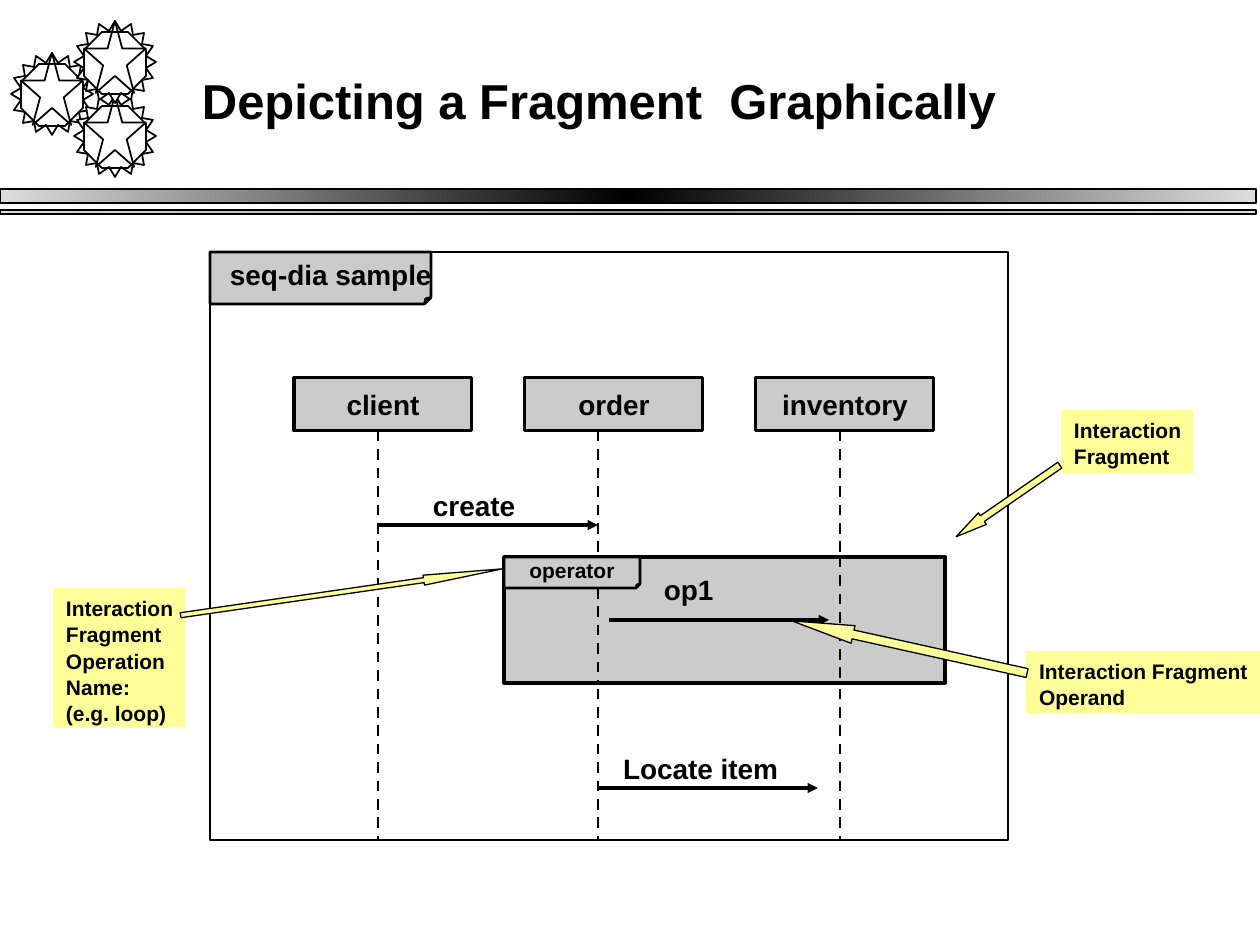
"""Build a slide that explains an interaction fragment in a sequence diagram."""
import copy
import math

from lxml import etree
from pptx import Presentation
from pptx import util as u
from pptx.dml.color import RGBColor
from pptx.enum import dml, shapes, text
from pptx.oxml import ns

EMU_PER_PX = 914400 / 126
BLACK = RGBColor(0, 0, 0)
WHITE = RGBColor(255, 255, 255)
GREY = RGBColor(0xCB, 0xCB, 0xCB)
SILVER = RGBColor(0xDD, 0xDD, 0xDD)
MID_GREY = RGBColor(0x96, 0x96, 0x96)
YELLOW = RGBColor(0xFF, 0xFF, 0x99)
KIND = shapes.MSO_SHAPE
LEFT, CENTER = text.PP_ALIGN.LEFT, text.PP_ALIGN.CENTER
TOP, MIDDLE = text.MSO_ANCHOR.TOP, text.MSO_ANCHOR.MIDDLE


def px(*lengths):
    return [u.Emu(round(length * EMU_PER_PX)) for length in lengths]


def apply(target, values):
    for name, value in values.items():
        setattr(target, name, value)


def child(parent, tag, **attributes):
    return etree.SubElement(parent, ns.qn(tag), attributes)


def paint(shape, fill, line):
    shape.shadow.inherit = False
    if fill is None:
        shape.fill.background()
    else:
        shape.fill.solid()
        shape.fill.fore_color.rgb = fill
    if line:
        shape.line.color.rgb = BLACK
        shape.line.width = u.Pt(line)
    else:
        shape.line.fill.background()


def adjust(shape, **guides):
    values = shape._element.spPr.find(".//" + ns.qn("a:avLst"))
    for guide in list(values):
        values.remove(guide)
    for name, value in guides.items():
        child(values, "a:gd", name=name, fmla=f"val {round(value * 100000)}")


def add_box(page, at, fill, line, kind=KIND.RECTANGLE, **guides):
    box = page.shapes.add_shape(kind, *px(*at))
    paint(box, fill, line)
    if guides:
        adjust(box, **guides)
    return box


def write(box, words, size=16, align=LEFT, anchor=TOP, spacing=1.0):
    left, top = px(13, 6)
    apply(box.text_frame, {
        "word_wrap": True, "vertical_anchor": anchor,
        "margin_left": left, "margin_right": 0 if align == LEFT else left,
        "margin_top": top, "margin_bottom": top,
    })
    for index, line in enumerate(words.split("\n")):
        frame = box.text_frame
        para = frame.add_paragraph() if index else frame.paragraphs[0]
        apply(para, {"alignment": align, "line_spacing": spacing})
        span = para.add_run()
        span.text = line
        apply(span.font, {"name": "Arial", "size": u.Pt(size), "bold": True})
        span.font.color.rgb = BLACK
    return span


def add_label(page, at, words, **options):
    return write(page.shapes.add_textbox(*px(*at)), words, **options)


def add_title(page, at, words):
    span = add_label(page, at, words, size=28, anchor=MIDDLE)
    effects = etree.Element(ns.qn("a:effectLst"))
    shadow = child(effects, "a:outerShdw", dist="17961", dir="2700000")
    child(shadow, "a:srgbClr", val="C0C0C0")
    span.font.fill._xPr.find(ns.qn("a:solidFill")).addnext(effects)


def add_line(page, start, end, width=1.75, dashed=False):
    line = page.shapes.add_connector(
        shapes.MSO_CONNECTOR.STRAIGHT, *px(*start, *end))
    line.line.color.rgb = BLACK
    line.line.width = u.Pt(width)
    if dashed:
        line.line.dash_style = dml.MSO_LINE.DASH
    else:
        child(line.line._get_or_add_ln(), "a:tailEnd", type="triangle")
    child(line._element.spPr, "a:effectLst")


def add_lifeline(page, x, top, bottom):
    add_line(page, (x, top), (x, bottom), 1.5, dashed=True)


def add_message(page, x, y, length, label_at, words):
    add_line(page, (x, y), (x + length, y))
    add_label(page, label_at, words)


def add_tab(page, at):
    return add_box(page, at, GREY, 1.5, KIND.FOLDED_CORNER, adj=0.125)


def add_note(page, at, words, arrow_at, angle, head):
    write(add_box(page, at, YELLOW, 0), words, size=12, spacing=1.05)
    arrow = add_box(page, arrow_at, YELLOW, 0.75, KIND.LEFT_ARROW,
                    adj1=0.5, adj2=head)
    arrow.rotation = angle


def add_bar(page, at, middle):
    bar = add_box(page, at, SILVER, 1)
    bar.fill.gradient()
    bar.fill.gradient_angle = 0
    stops = bar._element.spPr.find(".//" + ns.qn("a:gsLst"))
    stops.append(copy.deepcopy(stops[-1]))
    colors = (SILVER, middle, SILVER)
    for stop, color, position in zip(bar.fill.gradient_stops, colors, (0, 0.5, 1)):
        stop.color.rgb = color
        stop.position = position


def add_gear(page, x, y):
    outer, inner, teeth = 41, 32, 16
    points = []
    for index in range(2 * teeth):
        radius = inner if index % 2 else outer
        angle = math.pi * index / teeth
        points.append((x + radius * math.cos(angle), y + radius * math.sin(angle)))
    builder = page.shapes.build_freeform(*points[0], scale=EMU_PER_PX)
    builder.add_line_segments(points[1:], close=True)
    paint(builder.convert_to_shape(), WHITE, 1)
    add_box(page, (x - 31, y - outer, 62, 72), WHITE, 1, KIND.STAR_5_POINT)
    add_box(page, (x - 31, y - 30, 62, 62), None, 1, KIND.OCTAGON, adj=0.29)


def add_header(page):
    add_bar(page, (0, 189, 1256, 14), BLACK)
    add_bar(page, (0, 210, 1256, 4), MID_GREY)
    for center in ((52, 94), (115, 136), (115, 62)):
        add_gear(page, *center)
    add_title(page, (189, 21, 1071, 158), "Depicting a Fragment  Graphically")


def add_diagram(page):
    add_box(page, (210, 252, 798, 588), WHITE, 0.75)
    add_tab(page, (210, 252, 221, 52))
    add_label(page, (217, 252, 227, 47), "seq-dia sample")
    lifelines = (378, 598, 840)
    for index, name in enumerate(("client", "order", "inventory")):
        box = add_box(page, (294 + 231 * index, 378, 178, 53), GREY, 1.75)
        write(box, name, align=CENTER, anchor=MIDDLE)
        add_lifeline(page, lifelines[index], 431, 840)
    add_message(page, 378, 525, 220, (420, 483, 126, 47), "create")
    add_message(page, 598, 788, 220, (610, 746, 180, 47), "Locate item")


def add_fragment(page):
    add_box(page, (504, 557, 441, 126), GREY, 2)
    tab = add_tab(page, (504, 557, 136, 31))
    write(tab, "operator", size=12, align=CENTER, anchor=MIDDLE)
    add_message(page, 609, 620, 220, (651, 567, 126, 47), "op1")
    add_lifeline(page, 598, 588, 683)
    add_lifeline(page, 840, 557, 683)


def add_notes(page):
    add_note(page, (1061, 410, 132, 63), "Interaction\nFragment",
             (945, 494, 126, 14), 325.4, 2.28)
    add_note(page, (53, 588, 132, 139),
             "Interaction\nFragment\nOperation\nName:\n(e.g. loop)",
             (179, 587, 325, 10), 171.8, 7.92)
    add_note(page, (1026, 651, 234, 63), "Interaction Fragment\nOperand",
             (789, 638, 241, 18), 12.5, 3.48)


def main():
    deck = Presentation()
    deck.slide_width, deck.slide_height = px(1260, 945)
    page = deck.slides.add_slide(deck.slide_layouts[6])
    for add_part in (add_header, add_diagram, add_fragment, add_notes):
        add_part(page)
    deck.save("out.pptx")


if __name__ == "__main__":
    main()
